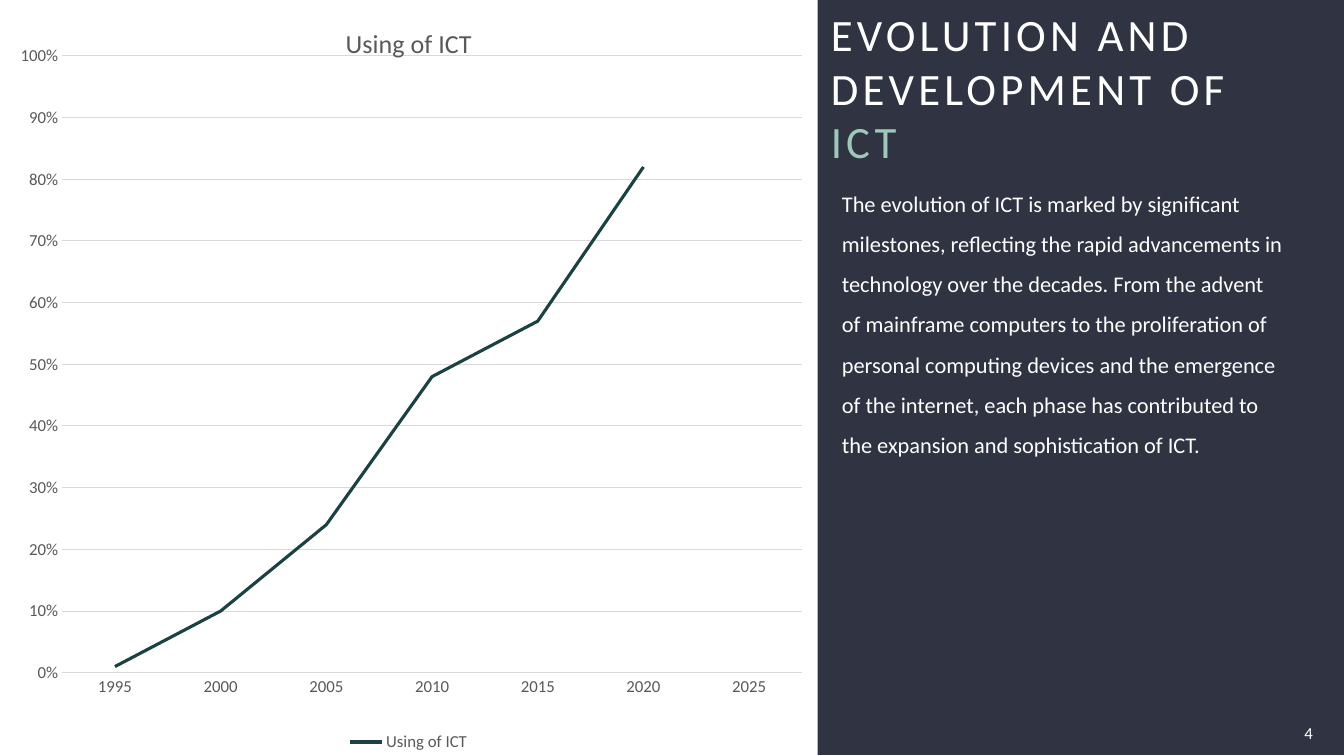
"""Build the slide on the evolution and development of ICT."""
from dataclasses import dataclass

from lxml.etree import SubElement
from pptx import Presentation
from pptx.chart.data import CategoryChartData
from pptx.dml.color import RGBColor
from pptx.enum.chart import XL_CHART_TYPE, XL_LEGEND_POSITION, XL_MARKER_STYLE, XL_TICK_MARK
from pptx.enum.shapes import MSO_SHAPE
from pptx.enum.text import MSO_ANCHOR, PP_ALIGN
from pptx.oxml.ns import qn
from pptx.util import Inches, Pt

HEADING = [("EVOLUTION AND DEVELOPMENT OF ", "light"), ("ICT", "accent")]
BODY = (
    "The evolution of ICT is marked by significant milestones, reflecting the rapid "
    "advancements in technology over the decades. From the advent of mainframe computers "
    "to the proliferation of personal computing devices and the emergence of the internet, "
    "each phase has contributed to the expansion and sophistication of ICT."
)
PAGE_NUMBER = "4"
USAGE_NAME = "Using of ICT"
USAGE = {"1995": 0.01, "2000": 0.1, "2005": 0.24, "2010": 0.48,
         "2015": 0.57, "2020": 0.82, "2025": None}


@dataclass(frozen=True)
class Theme:
    font: str = "Calibri"
    panel: str = "2F3342"
    light: str = "FFFFFF"
    accent: str = "9EC8B9"
    series: str = "1B4242"
    label: str = "595959"
    grid: str = "D9D9D9"
    heading_size: float = 32
    heading_tracking: float = 3
    body_size: float = 16
    small_size: float = 12
    chart_title_size: float = 18.6


THEME = Theme()
WIDTH, HEIGHT = 13.33, 7.5
CHART_WIDTH = 8.11
COLUMN_WIDTH = 4.39
PLOT_SHARES = {"x": 0.076, "y": 0.074, "w": 0.905, "h": 0.816}


def style_font(font, size, color):
    font.name, font.size = THEME.font, Pt(size)
    font.color.rgb = RGBColor.from_string(color)


def style_line(line, color, width):
    line.color.rgb = RGBColor.from_string(color)
    line.width = Pt(width)


def add_text(slide, box, anchor, side_inset):
    frame = slide.shapes.add_textbox(*map(Inches, box)).text_frame
    frame.word_wrap = True
    frame.vertical_anchor = anchor
    frame.margin_left = frame.margin_right = Inches(side_inset)
    return frame.paragraphs[0]


def add_panel(slide):
    box = (CHART_WIDTH, 0, WIDTH - CHART_WIDTH, HEIGHT - 0.01)
    panel = slide.shapes.add_shape(MSO_SHAPE.RECTANGLE, *map(Inches, box))
    panel.shadow.inherit = False
    panel.fill.solid()
    panel.fill.fore_color.rgb = RGBColor.from_string(THEME.panel)
    panel.line.fill.background()


def add_texts(slide):
    heading = add_text(slide, (8.24, 0.55, COLUMN_WIDTH, 0.63), MSO_ANCHOR.MIDDLE, 0)
    for words, color in HEADING:
        run = heading.add_run()
        run.text = words
        style_font(run.font, THEME.heading_size, getattr(THEME, color))
        run.font._element.set("spc", str(int(THEME.heading_tracking * 100)))

    body = add_text(slide, (8.35, 1.7, COLUMN_WIDTH, 5.07), MSO_ANCHOR.TOP, 0)
    body.text = BODY
    body.line_spacing = 1.5
    style_font(body.runs[0].font, THEME.body_size, THEME.light)

    number = add_text(slide, (12.63, 7.07, 0.49, 0.4), MSO_ANCHOR.MIDDLE, 0.1)
    number.text = PAGE_NUMBER
    number.alignment = PP_ALIGN.RIGHT
    style_font(number.runs[0].font, THEME.small_size, THEME.light)


def place_plot(chart):
    plot_area = chart.plots[0]._element.getparent()
    for layout in plot_area.findall(qn("c:layout")):
        plot_area.remove(layout)
    layout = SubElement(plot_area, qn("c:layout"))
    plot_area.insert(0, layout)
    manual = SubElement(layout, qn("c:manualLayout"))
    settings = {"layoutTarget": "inner", "xMode": "edge", "yMode": "edge", **PLOT_SHARES}
    for name, value in settings.items():
        SubElement(manual, qn(f"c:{name}")).set("val", str(value))


def add_usage_chart(slide):
    usage = CategoryChartData(number_format="0%")
    usage.categories = list(USAGE)
    usage.add_series(USAGE_NAME, list(USAGE.values()))
    chart = slide.shapes.add_chart(
        XL_CHART_TYPE.LINE, 0, 0, Inches(CHART_WIDTH), Inches(HEIGHT), usage).chart
    style_font(chart.font, THEME.small_size, THEME.label)

    chart.has_title = True
    title = chart.chart_title.text_frame.paragraphs[0]
    title.text = USAGE_NAME
    style_font(title.runs[0].font, THEME.chart_title_size, THEME.label)
    title.runs[0].font.bold = False

    chart.has_legend = True
    chart.legend.position = XL_LEGEND_POSITION.BOTTOM
    chart.legend.include_in_layout = False
    style_font(chart.legend.font, THEME.small_size, THEME.label)

    years, shares = chart.category_axis, chart.value_axis
    for axis in (years, shares):
        axis.major_tick_mark = axis.minor_tick_mark = XL_TICK_MARK.NONE
        style_font(axis.tick_labels.font, THEME.small_size, THEME.label)
    style_line(years.format.line, THEME.grid, 0.75)
    shares.format.line.fill.background()
    shares.minimum_scale, shares.maximum_scale, shares.major_unit = 0, 1, 0.1
    shares.tick_labels.number_format = "0%"
    shares.tick_labels.number_format_is_linked = False
    style_line(shares.major_gridlines.format.line, THEME.grid, 0.75)

    plot = chart.plots[0]
    plot.vary_by_categories = False
    curve = plot.series[0]
    curve.smooth = False
    curve.marker.style = XL_MARKER_STYLE.NONE
    style_line(curve.format.line, THEME.series, 2.25)
    place_plot(chart)


def main():
    deck = Presentation()
    deck.slide_width, deck.slide_height = Inches(WIDTH), Inches(HEIGHT)
    slide = deck.slides.add_slide(deck.slide_layouts[6])
    add_panel(slide)
    add_texts(slide)
    add_usage_chart(slide)
    deck.save("out.pptx")


if __name__ == "__main__":
    main()
